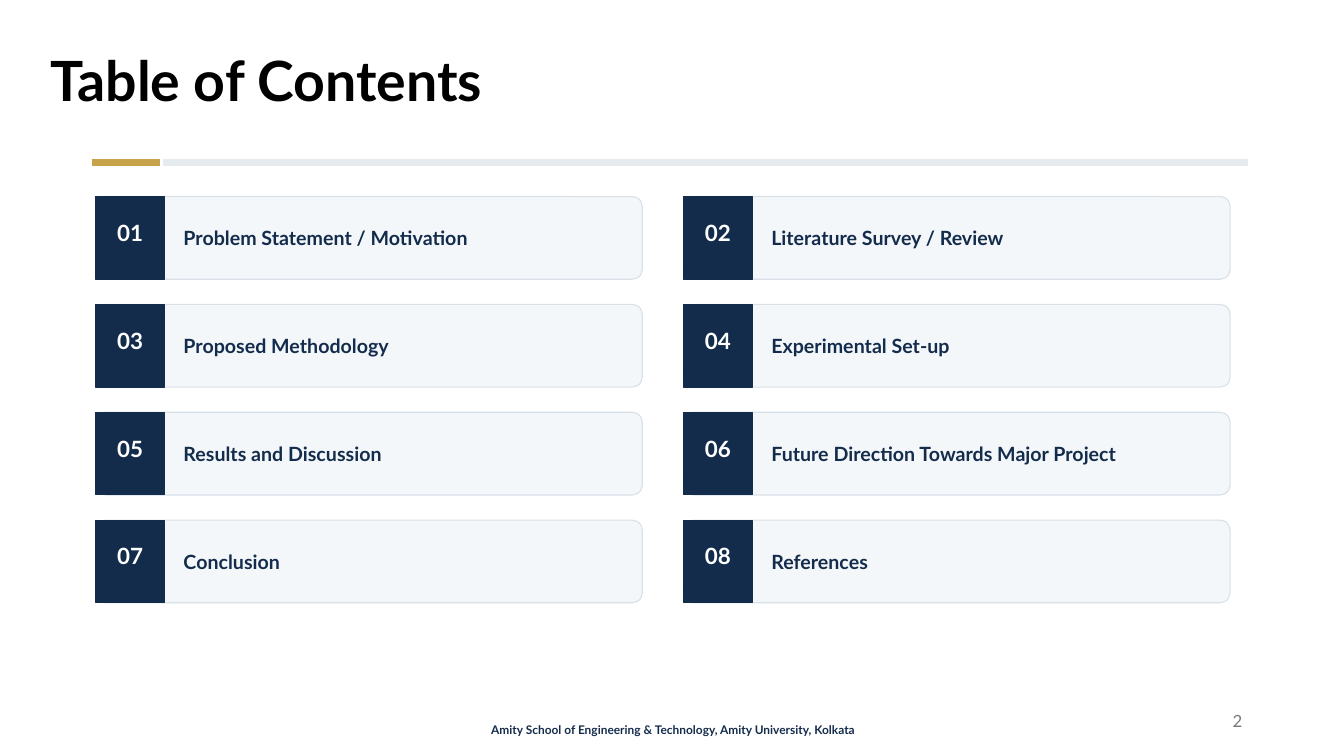
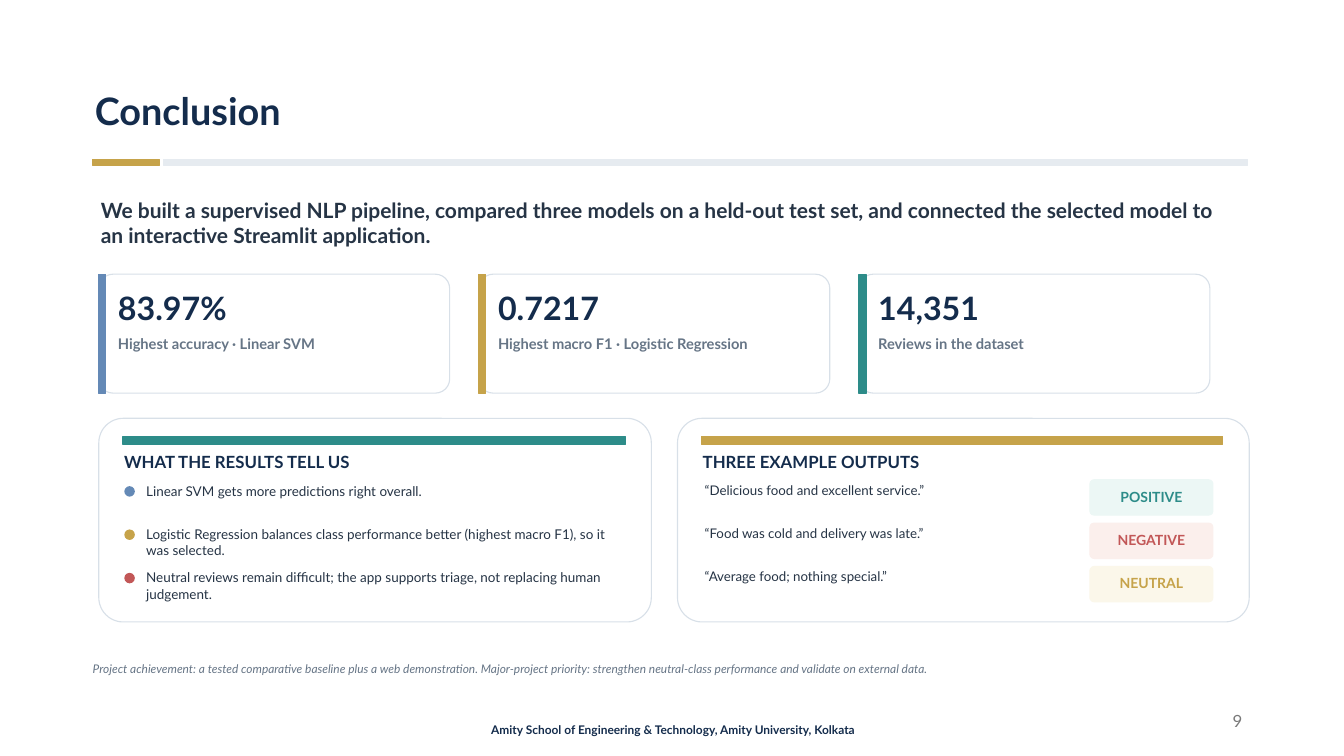
from dataclasses import dataclass

from pptx import Presentation
from pptx.dml.color import RGBColor
from pptx.enum.shapes import MSO_SHAPE
from pptx.enum.text import MSO_ANCHOR, MSO_AUTO_SIZE, PP_ALIGN
from pptx.slide import Slide
from pptx.util import Inches, Pt

FONT = "Lato"
FOOTER = "Amity School of Engineering & Technology, Amity University, Kolkata"
COLORS = {
    "black": "000000",
    "white": "FFFFFF",
    "navy": "142C4C",
    "ink": "263445",
    "slate": "667586",
    "gray": "797979",
    "rule": "E6EBF0",
    "border": "D8E0E8",
    "panel": "F4F7FA",
    "gold": "C6A34A",
    "blue": "6489B6",
    "teal": "2D8C89",
    "red": "C25757",
    "pale_teal": "ECF7F5",
    "pale_red": "FBEFEC",
    "pale_gold": "FBF7EA",
}


@dataclass(frozen=True)
class Box:
    left: float
    top: float
    width: float
    height: float

    def lengths(self) -> tuple:
        return tuple(Inches(n) for n in (self.left, self.top, self.width, self.height))


@dataclass(frozen=True)
class Statistic:
    value: str
    label: str
    color: str


@dataclass(frozen=True)
class Finding:
    text: str
    color: str


@dataclass(frozen=True)
class Example:
    quote: str
    sentiment: str
    color: str
    fill: str


CONTENTS = (
    "Problem Statement / Motivation",
    "Literature Survey / Review",
    "Proposed Methodology",
    "Experimental Set-up",
    "Results and Discussion",
    "Future Direction Towards Major Project",
    "Conclusion",
    "References",
)
STATISTICS = (
    Statistic("83.97%", "Highest accuracy · Linear SVM", "blue"),
    Statistic("0.7217", "Highest macro F1 · Logistic Regression", "gold"),
    Statistic("14,351", "Reviews in the dataset", "teal"),
)
FINDINGS = (
    Finding("Linear SVM gets more predictions right overall.", "blue"),
    Finding("Logistic Regression balances class performance better "
            "(highest macro F1), so it was selected.", "gold"),
    Finding("Neutral reviews remain difficult; the app supports triage, "
            "not replacing human judgement.", "red"),
)
EXAMPLES = (
    Example("“Delicious food and excellent service.”", "POSITIVE", "teal", "pale_teal"),
    Example("“Food was cold and delivery was late.”", "NEGATIVE", "red", "pale_red"),
    Example("“Average food; nothing special.”", "NEUTRAL", "gold", "pale_gold"),
)
ROW_PITCH = 0.43


def rgb(name: str) -> RGBColor:
    return RGBColor.from_string(COLORS[name])


def write(shape, text: str, *, size: float, color: str = "navy", bold: bool = False,
          italic: bool = False, align: PP_ALIGN = PP_ALIGN.LEFT,
          anchor: MSO_ANCHOR = MSO_ANCHOR.TOP, inset: float = 0.01,
          space_after: float = 3, line_spacing: float = 1.0) -> None:
    frame = shape.text_frame
    frame.word_wrap = True
    frame.auto_size = MSO_AUTO_SIZE.NONE
    frame.vertical_anchor = anchor
    frame.margin_left = frame.margin_right = Inches(inset)
    frame.margin_top = frame.margin_bottom = Inches(inset)
    frame.text = text
    paragraph = frame.paragraphs[0]
    paragraph.alignment = align
    paragraph.space_before = Pt(0)
    paragraph.space_after = Pt(space_after)
    paragraph.line_spacing = line_spacing
    font = paragraph.runs[0].font
    font.name = FONT
    font.size = Pt(size)
    font.bold = bold
    font.italic = italic
    font.color.rgb = rgb(color)


def add_text(slide: Slide, box: Box, text: str, **text_format) -> None:
    write(slide.shapes.add_textbox(*box.lengths()), text, **text_format)


def add_block(slide: Slide, box: Box, fill: str, line: str = "",
              kind: MSO_SHAPE = MSO_SHAPE.RECTANGLE, line_width: float = 0.8) -> None:
    """Draw a filled shape whose outline matches the fill unless line is given."""
    shape = slide.shapes.add_shape(kind, *box.lengths())
    shape.shadow.inherit = False
    shape.fill.solid()
    shape.fill.fore_color.rgb = rgb(fill)
    shape.line.color.rgb = rgb(line or fill)
    shape.line.width = Pt(line_width)
    if kind == MSO_SHAPE.ROUNDED_RECTANGLE:
        shape.adjustments[0] = 0.12


def add_card(slide: Slide, box: Box, fill: str = "white", line: str = "border") -> None:
    add_block(slide, box, fill, line, MSO_SHAPE.ROUNDED_RECTANGLE)


def add_base_slide(presentation, title: str, title_box: Box, number: int,
                   **title_format) -> Slide:
    """Add a slide with its title, page number, footer and two-part rule."""
    slide = presentation.slides.add_slide(presentation.slide_layouts[5])
    heading = slide.shapes.title
    heading.left, heading.top, heading.width, heading.height = title_box.lengths()
    write(heading, title, bold=True, line_spacing=0.9, **title_format)
    add_text(slide, Box(9.42, 6.95, 3, 0.4), str(number), size=12, color="gray",
             align=PP_ALIGN.RIGHT, anchor=MSO_ANCHOR.MIDDLE, inset=0.1, space_after=0)
    add_text(slide, Box(2.2, 7.13, 8.95, 0.22), FOOTER, size=8.5, bold=True,
             align=PP_ALIGN.CENTER, anchor=MSO_ANCHOR.MIDDLE, inset=0)
    add_block(slide, Box(0.92, 1.58, 0.66, 0.06), "gold")
    add_block(slide, Box(1.62, 1.58, 10.75, 0.06), "rule")
    return slide


def add_contents_entry(slide: Slide, index: int, label: str) -> None:
    row, column = divmod(index, 2)
    left = 0.95 + column * 5.83
    top = 1.95 + row * 1.07
    add_card(slide, Box(left, top, 5.42, 0.82), "panel")
    add_block(slide, Box(left, top, 0.68, 0.82), "navy")
    add_text(slide, Box(left + 0.04, top + 0.18, 0.6, 0.35), f"{index + 1:02}", size=16,
             color="white", bold=True, align=PP_ALIGN.CENTER, anchor=MSO_ANCHOR.MIDDLE)
    add_text(slide, Box(left + 0.86, top + 0.15, 4.38, 0.52), label, size=14,
             bold=True, anchor=MSO_ANCHOR.MIDDLE)


def add_statistic(slide: Slide, index: int, statistic: Statistic) -> None:
    left, top = 0.98 + index * 3.77, 2.72
    add_card(slide, Box(left, top, 3.48, 1.18))
    add_block(slide, Box(left, top, 0.07, 1.18), statistic.color)
    add_text(slide, Box(left + 0.18, top + 0.13, 3.18, 0.42), statistic.value,
             size=23, bold=True)
    add_text(slide, Box(left + 0.18, top + 0.59, 3.18, 0.34), statistic.label,
             size=10.5, color="slate", bold=True)


def add_panel(slide: Slide, left: float, width: float, heading: str, color: str) -> None:
    add_card(slide, Box(left, 4.15, width, 2.02))
    add_block(slide, Box(left + 0.24, 4.33, width - 0.5, 0.08), color)
    add_text(slide, Box(left + 0.24, 4.47, width - 0.5, 0.32), heading, size=12, bold=True)


def add_finding(slide: Slide, index: int, finding: Finding) -> None:
    top = 4.78 + index * ROW_PITCH
    add_block(slide, Box(1.24, top + 0.05, 0.09, 0.09), finding.color,
              kind=MSO_SHAPE.OVAL, line_width=1)
    add_text(slide, Box(1.44, top, 4.74, 0.36), finding.text, size=9.6, color="ink")


def add_example(slide: Slide, index: int, example: Example) -> None:
    top = 4.76 + index * ROW_PITCH
    add_text(slide, Box(6.98, top + 0.01, 3.78, 0.3), example.quote, size=9.5, color="ink")
    add_card(slide, Box(10.81, top, 1.22, 0.35), example.fill, example.fill)
    add_text(slide, Box(10.85, top + 0.03, 1.14, 0.27), example.sentiment, size=10,
             color=example.color, bold=True, align=PP_ALIGN.CENTER,
             anchor=MSO_ANCHOR.MIDDLE)


def build_contents(presentation) -> None:
    slide = add_base_slide(presentation, "Table of Contents", Box(0.4, 0.43, 9.32, 0.63),
                           2, size=39.6, color="black", inset=0.1, space_after=0)
    for index, label in enumerate(CONTENTS):
        add_contents_entry(slide, index, label)


def build_conclusion(presentation) -> None:
    slide = add_base_slide(presentation, "Conclusion", Box(0.92, 0.4, 11.5, 1.45),
                           9, size=27, anchor=MSO_ANCHOR.MIDDLE, inset=0.02)
    add_text(slide, Box(0.98, 1.94, 11.2, 0.62),
             "We built a supervised NLP pipeline, compared three models on a held-out "
             "test set, and connected the selected model to an interactive Streamlit "
             "application.", size=15, color="ink", bold=True, inset=0.02)
    for index, statistic in enumerate(STATISTICS):
        add_statistic(slide, index, statistic)
    add_panel(slide, 0.98, 5.48, "WHAT THE RESULTS TELL US", "teal")
    for index, finding in enumerate(FINDINGS):
        add_finding(slide, index, finding)
    add_panel(slide, 6.72, 5.67, "THREE EXAMPLE OUTPUTS", "gold")
    for index, example in enumerate(EXAMPLES):
        add_example(slide, index, example)
    add_text(slide, Box(0.92, 6.56, 11.3, 0.22),
             "Project achievement: a tested comparative baseline plus a web "
             "demonstration. Major-project priority: strengthen neutral-class "
             "performance and validate on external data.",
             size=8.5, color="slate", italic=True, inset=0)


def main() -> None:
    presentation = Presentation()
    presentation.slide_width = Inches(13.33)
    presentation.slide_height = Inches(7.5)
    build_contents(presentation)
    build_conclusion(presentation)
    presentation.save("out.pptx")


if __name__ == "__main__":
    main()
